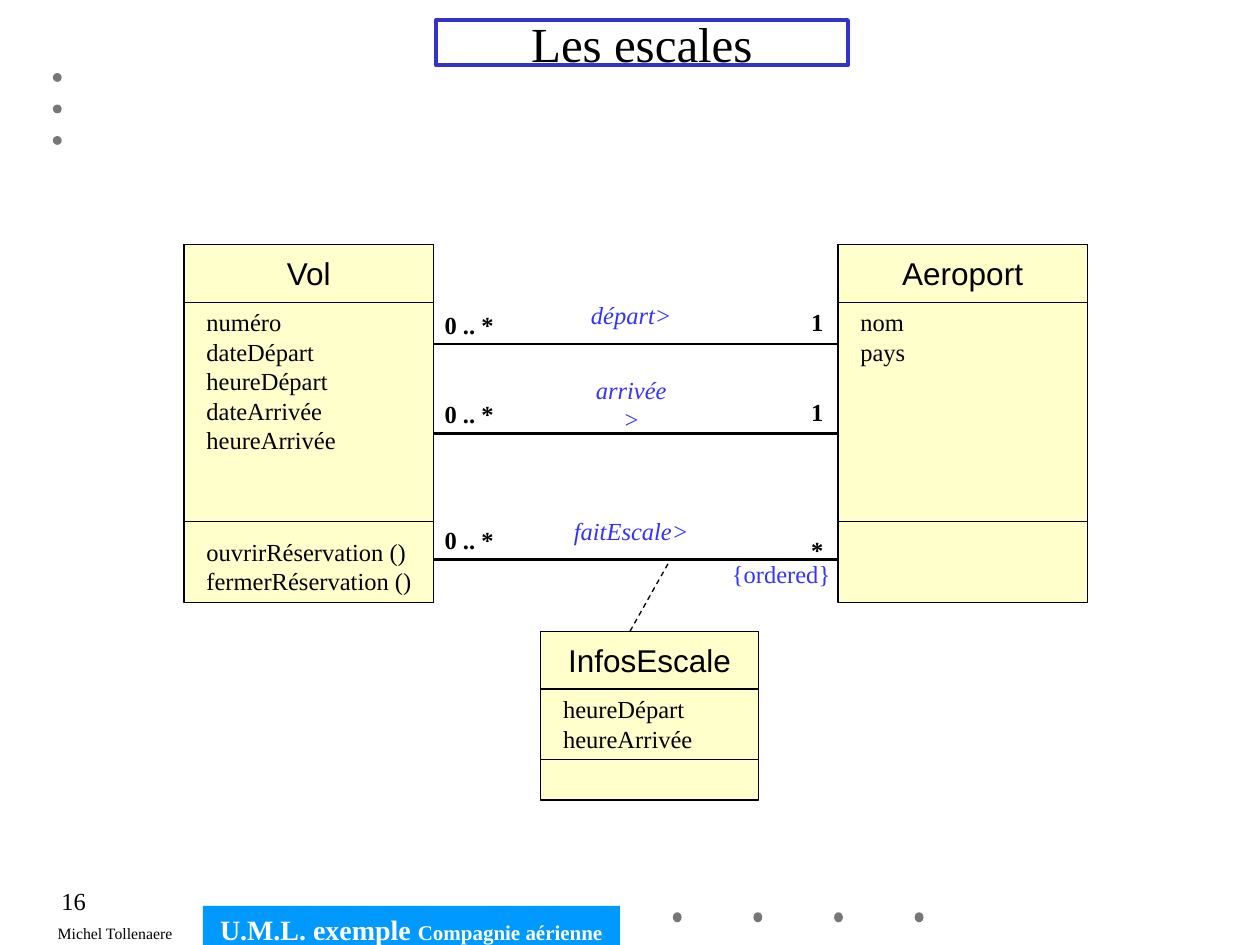
import pptx
import pptx.util
import pptx.dml.color
import pptx.enum.dml
import pptx.enum.shapes
import pptx.enum.text
import pptx.oxml.ns
import lxml.etree
from dataclasses import dataclass

Inches, Pt = pptx.util.Inches, pptx.util.Pt
Shape = pptx.enum.shapes.MSO_SHAPE
Align = pptx.enum.text.PP_ALIGN
Anchor = pptx.enum.text.MSO_ANCHOR


@dataclass
class Theme:
    black: str = "000000"
    white: str = "FFFFFF"
    cream: str = "FFFFCC"
    blue: str = "3333FF"
    frame: str = "3333CC"
    band: str = "0099FF"
    gray: str = "777777"
    serif: str = "Times New Roman"
    sans: str = "Arial"
    title: float = 28
    name: float = 18
    body: float = 14
    brand: float = 16
    small: float = 12
    tiny: float = 9
    thin: float = 0.75
    bold: float = 1.5
    thick: float = 2.25


theme = Theme()

TITLE = "Les escales"
AUTHOR = "Michel Tollenaere"
PAGE = "16"
BAND = [("U.M.L. exemple ", theme.brand), ("Compagnie aérienne", theme.small)]

# name, box (left, top, width, height), top of operations, attributes, operations
CLASSES = [
    ("Vol", (1.46, 1.94, 1.98, 2.84), 4.14,
     ["numéro", "dateDépart", "heureDépart", "dateArrivée", "heureArrivée"],
     ["ouvrirRéservation ()", "fermerRéservation ()"]),
    ("Aeroport", (6.65, 1.94, 1.98, 2.84), 4.14, ["nom", "pays"], []),
    ("InfosEscale", (4.29, 5.01, 1.73, 1.34), 6.03,
     ["heureDépart", "heureArrivée"], []),
]
# role, label width, line height, far end, rise of the far end
LINKS = [
    ("départ>", 0.84, 2.73, "1", 0.34),
    ("arrivée>", 0.89, 3.44, "1", 0.34),
    ("faitEscale>", 1.11, 4.44, "*", 0.24),
]
NEAR = "0 .. *"
LINK_X = (3.44, 6.65)
ROLE_MID = 5.01
HEAD = 0.46
DOTS = ([(0.42, 0.58 + 0.25 * i, 0.07, 0.07) for i in range(3)]
        + [(5.34 + 0.64 * i, 7.24, 0.07, 0.08) for i in range(4)])


def color(code):
    return pptx.dml.color.RGBColor.from_string(code)


def write(shape, lines, size=theme.body, face=theme.serif, ink=theme.black,
          align=Align.LEFT, anchor=Anchor.TOP, wrap=False, pad=(0.1, 0.05),
          bold=False, italic=False):
    """Fill a shape with paragraphs; a line may be a list of (text, size) runs."""
    frame = shape.text_frame
    frame.word_wrap = wrap
    frame.vertical_anchor = anchor
    frame.margin_left = frame.margin_right = Inches(pad[0])
    frame.margin_top = frame.margin_bottom = Inches(pad[1])
    for i, line in enumerate(lines):
        para = frame.paragraphs[0] if i == 0 else frame.add_paragraph()
        para.alignment = align
        font = para.font
        font.name, font.size = face, Pt(size)
        font.bold, font.italic = bold, italic
        font.color.rgb = color(ink)
        if isinstance(line, str):
            para.add_run().text = line
        else:
            for text, points in line:
                run = para.add_run()
                run.text, run.font.size = text, Pt(points)


def add_box(slide, box, fill=None, line=None, width=theme.thin, kind=Shape.RECTANGLE):
    shape = slide.shapes.add_shape(kind, *map(Inches, box))
    shape.shadow.inherit = False
    if fill:
        shape.fill.solid()
        shape.fill.fore_color.rgb = color(fill)
    else:
        shape.fill.background()
    if line:
        shape.line.color.rgb = color(line)
        shape.line.width = Pt(width)
    else:
        shape.line.fill.background()
    return shape


def add_text(slide, box, lines, **style):
    write(slide.shapes.add_textbox(*map(Inches, box)), lines, **style)


def add_line(slide, start, end, width=theme.thin, dash=False):
    line = slide.shapes.add_connector(
        pptx.enum.shapes.MSO_CONNECTOR.STRAIGHT, *map(Inches, start + end))
    line.line.color.rgb = color(theme.black)
    line.line.width = Pt(width)
    if dash:
        line.line.dash_style = pptx.enum.dml.MSO_LINE.DASH
    props = line._element.spPr
    lxml.etree.SubElement(props, pptx.oxml.ns.qn("a:effectLst"))


def add_list(slide, left, top, width, lines):
    if lines:
        add_text(slide, (left + 0.08, top, width - 0.15, 0.1 + 0.235 * len(lines)), lines)


def add_class(slide, name, box, split, fields, methods):
    left, top, width, height = box
    add_box(slide, box, theme.cream, theme.black)
    head = add_box(slide, (left, top, width, HEAD), line=theme.black)
    write(head, [name], theme.name, theme.sans, align=Align.CENTER,
          wrap=True, pad=(0, 0.08))
    add_line(slide, (left, split), (left + width, split))
    add_list(slide, left, top + 0.45, width, fields)
    add_list(slide, left, split + 0.07, width, methods)


def add_role(slide, mid, top, width, text, italic=True):
    add_text(slide, (mid - width / 2, top, width, 0.34), [text], ink=theme.blue,
             align=Align.CENTER, anchor=Anchor.MIDDLE, italic=italic)


def add_link(slide, role, width, y, far, rise):
    add_line(slide, (LINK_X[0], y), (LINK_X[1], y), theme.bold)
    add_text(slide, (3.43, y - 0.32, 0.59, 0.34), [NEAR], bold=True)
    add_text(slide, (6.34, y - rise, 0.3, 0.34), [far], bold=True)
    add_role(slide, ROLE_MID, y - 0.4, width, role)


def main():
    deck = pptx.Presentation()
    deck.slide_width, deck.slide_height = Inches(10), Inches(7.5)
    slide = deck.slides.add_slide(deck.slide_layouts[6])

    add_text(slide, (0.36, 7.28, 1.12, 0.25), [AUTHOR], size=theme.tiny)
    for dot in DOTS:
        add_box(slide, dot, theme.gray, kind=Shape.OVAL)
    band = add_box(slide, (1.61, 7.19, 3.31, 0.31), theme.band)
    write(band, [BAND], ink=theme.white, align=Align.CENTER, wrap=True, bold=True)

    for item in CLASSES:
        add_class(slide, *item)
    for link in LINKS:
        add_link(slide, *link)
    add_line(slide, (5, 5.01), (5.31, 4.46), dash=True)
    add_role(slide, 6.2, 4.38, 0.98, "{ordered}", italic=False)

    title = add_box(slide, (3.46, 0.16, 3.27, 0.36), line=theme.frame, width=theme.thick)
    write(title, [TITLE], theme.title, align=Align.CENTER, anchor=Anchor.MIDDLE, wrap=True)
    add_text(slide, (0, 6.98, 0.78, 0.31), [PAGE], align=Align.RIGHT, wrap=True)
    deck.save("out.pptx")


if __name__ == "__main__":
    main()
